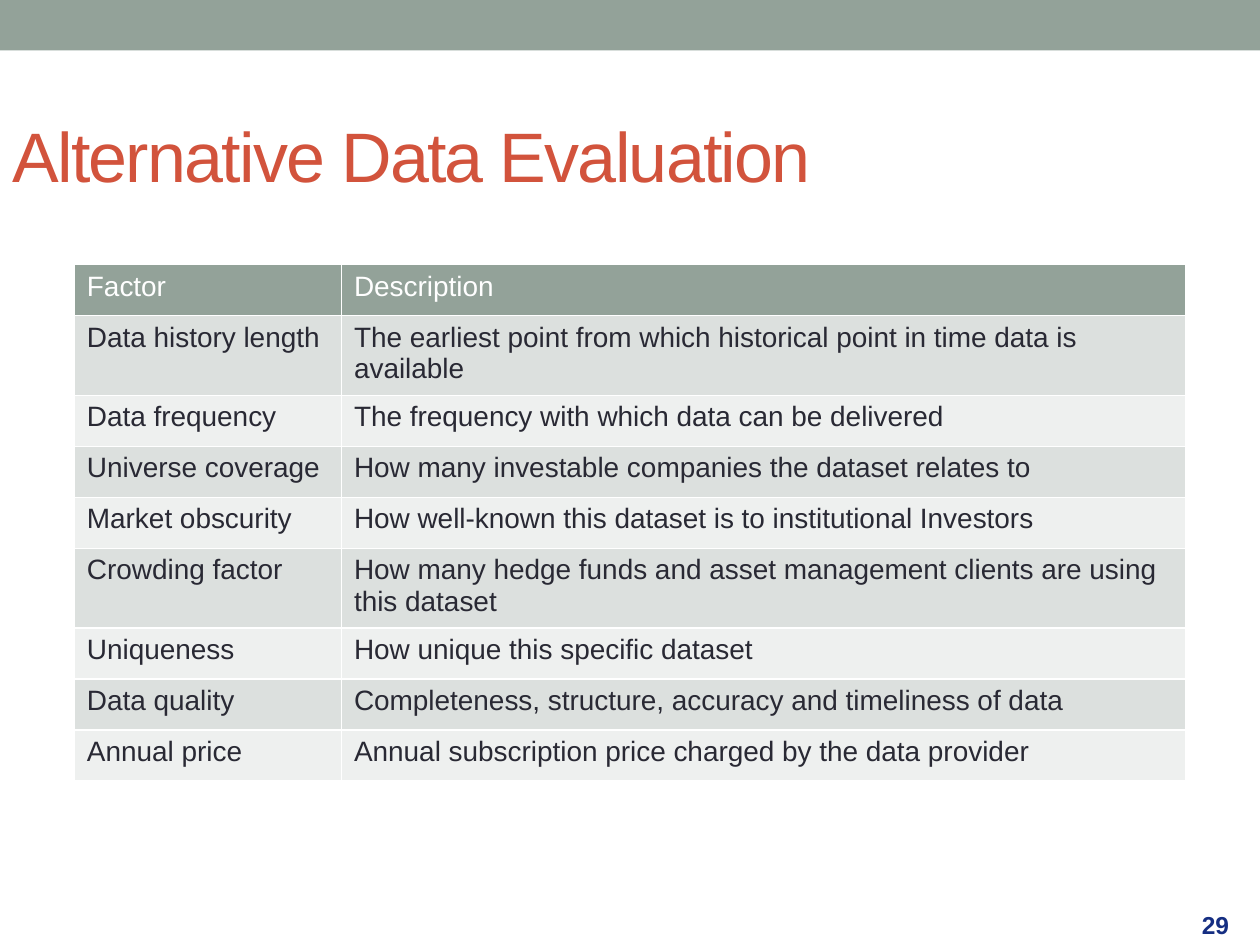
from dataclasses import dataclass

import lxml.etree
import pptx
import pptx.dml.color
import pptx.enum.shapes
import pptx.enum.text
import pptx.oxml.ns
import pptx.util

Inches = pptx.util.Inches
Pt = pptx.util.Pt
RGBColor = pptx.dml.color.RGBColor
qn = pptx.oxml.ns.qn

SAGE = RGBColor(0x93, 0xA2, 0x99)
BAND_DARK = RGBColor(0xDC, 0xE0, 0xDE)
BAND_LIGHT = RGBColor(0xEE, 0xF0, 0xEF)
WHITE = RGBColor(0xFF, 0xFF, 0xFF)
INK = RGBColor(0x29, 0x29, 0x34)
RUST = RGBColor(0xD2, 0x53, 0x3C)
NAVY = RGBColor(0x15, 0x2E, 0x82)
FONT = "Arial"
ROW_HEIGHT = 0.405
COLUMN_WIDTHS = (2.12, 6.7)


@dataclass
class Factor:
    name: str
    description: str


FACTORS = [
    Factor("Data history length",
           "The earliest point from which historical point in time data is available"),
    Factor("Data frequency", "The frequency with which data can be delivered"),
    Factor("Universe coverage", "How many investable companies the dataset relates to"),
    Factor("Market obscurity", "How well-known this dataset is to institutional Investors"),
    Factor("Crowding factor",
           "How many hedge funds and asset management clients are using this dataset"),
    Factor("Uniqueness", "How unique this specific dataset"),
    Factor("Data quality", "Completeness, structure, accuracy and timeliness of data"),
    Factor("Annual price", "Annual subscription price charged by the data provider"),
]


def style(paragraph, size: float, color: RGBColor, bold: bool = False) -> None:
    font = paragraph.font
    font.name, font.size, font.bold = FONT, Pt(size), bold
    font.color.rgb = color


def add_label(slide, text: str, left: float, top: float, width: float, height: float,
              size: float, color: RGBColor, bold: bool = False):
    frame = slide.shapes.add_textbox(
        Inches(left), Inches(top), Inches(width), Inches(height)).text_frame
    frame.word_wrap = True
    frame.vertical_anchor = pptx.enum.text.MSO_ANCHOR.MIDDLE
    paragraph = frame.paragraphs[0]
    paragraph.text = text
    style(paragraph, size, color, bold)
    return paragraph


def add_borders(cell, color: RGBColor, width: float) -> None:
    properties = cell._tc.get_or_add_tcPr()
    for position, side in enumerate(("a:lnL", "a:lnR", "a:lnT", "a:lnB")):
        line = lxml.etree.Element(qn(side), w=str(Pt(width)))
        fill = lxml.etree.SubElement(line, qn("a:solidFill"))
        lxml.etree.SubElement(fill, qn("a:srgbClr"), val=str(color))
        properties.insert(position, line)


def fill_row(table, row: int, factor: Factor, fill: RGBColor, color: RGBColor) -> None:
    table.rows[row].height = Inches(ROW_HEIGHT)
    for column, text in enumerate((factor.name, factor.description)):
        cell = table.cell(row, column)
        cell.text = text
        style(cell.text_frame.paragraphs[0], 16, color)
        cell.fill.solid()
        cell.fill.fore_color.rgb = fill
        add_borders(cell, WHITE, 1)


def add_factor_table(slide, left: float, top: float) -> None:
    row_count = len(FACTORS) + 1
    table = slide.shapes.add_table(
        row_count, len(COLUMN_WIDTHS), Inches(left), Inches(top),
        Inches(sum(COLUMN_WIDTHS)), Inches(ROW_HEIGHT * row_count)).table
    for column, width in zip(table.columns, COLUMN_WIDTHS):
        column.width = Inches(width)
    fill_row(table, 0, Factor("Factor", "Description"), SAGE, WHITE)
    for row, factor in enumerate(FACTORS, start=1):
        fill_row(table, row, factor, BAND_DARK if row % 2 else BAND_LIGHT, INK)


def main() -> None:
    deck = pptx.Presentation()
    deck.slide_width, deck.slide_height = Inches(10), Inches(7.5)
    slide = deck.slides.add_slide(deck.slide_layouts[6])

    # Top band
    band = slide.shapes.add_shape(
        pptx.enum.shapes.MSO_SHAPE.RECTANGLE, 0, 0, deck.slide_width, Inches(0.4))
    band.shadow.inherit = False
    band.fill.solid()
    band.fill.fore_color.rgb = SAGE
    band.line.fill.background()

    # Page number and title, the title slightly tightened
    add_label(slide, "29", 9.44, 7.14, 0.55, 0.39, 14, NAVY, bold=True)
    title = add_label(slide, "Alternative Data Evaluation", 0, 0.68, 8.83, 1.09, 40, RUST)
    title.runs[0].font._element.set("spc", "-100")

    # Evaluation factors
    add_factor_table(slide, 0.59, 2.1)

    deck.save("out.pptx")


if __name__ == "__main__":
    main()
